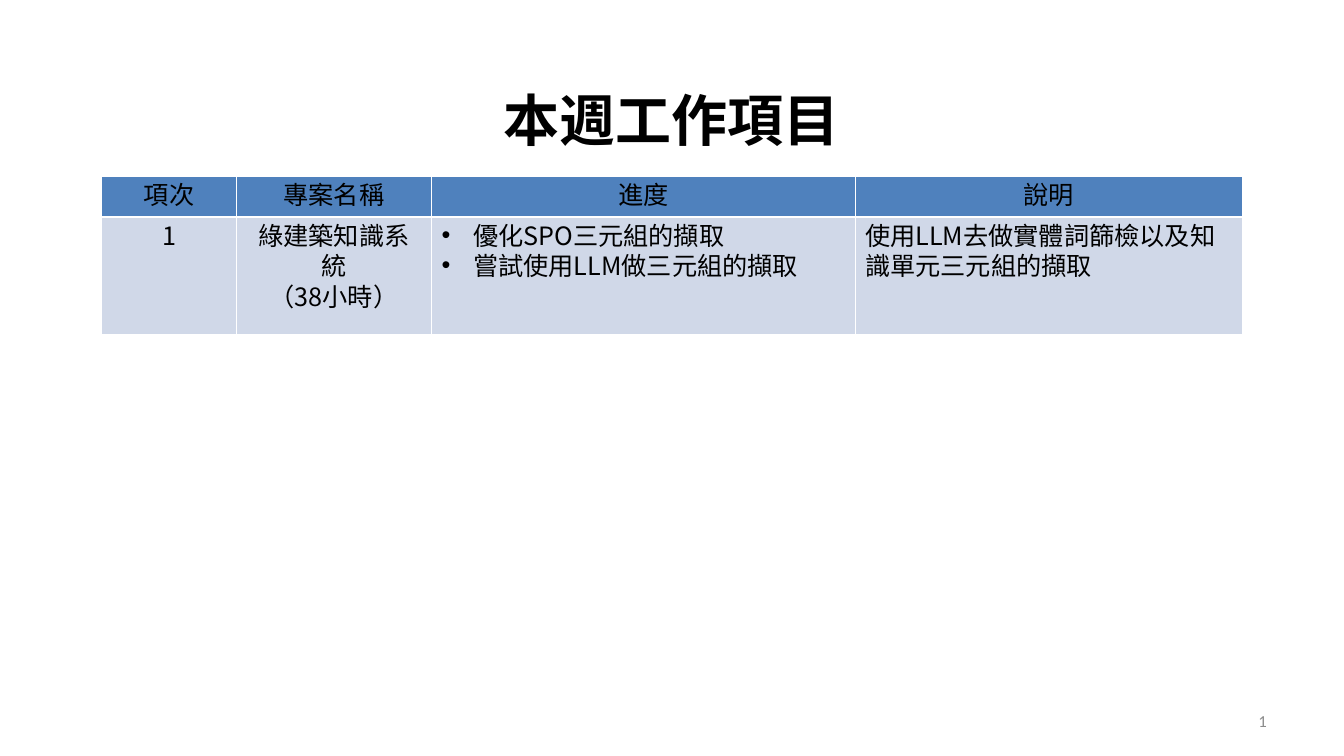
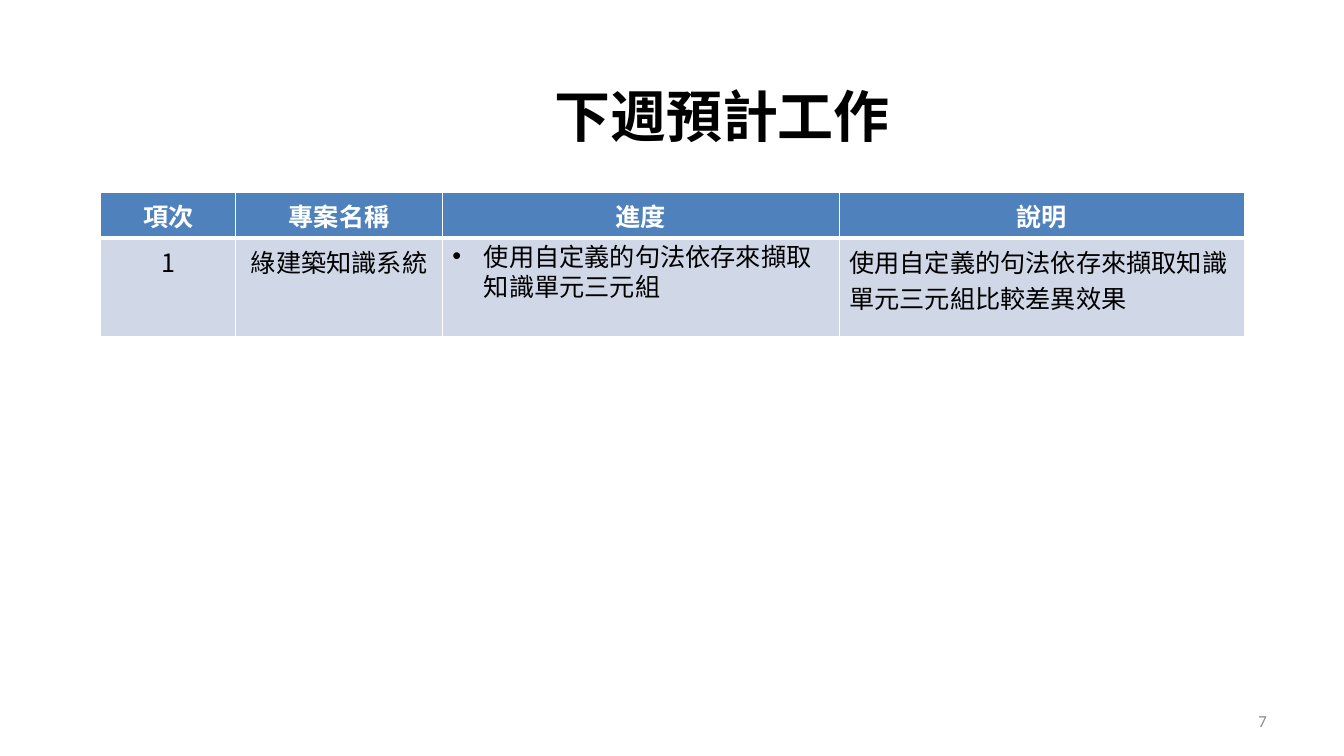
from dataclasses import dataclass

from pptx import Presentation
from pptx.dml.color import RGBColor
from pptx.enum.text import MSO_ANCHOR, PP_ALIGN
from pptx.oxml.ns import qn
from pptx.util import Pt
from lxml import etree

LEFT, CENTER, RIGHT = PP_ALIGN.LEFT, PP_ALIGN.CENTER, PP_ALIGN.RIGHT
MIDDLE, TOP = MSO_ANCHOR.MIDDLE, MSO_ANCHOR.TOP


@dataclass(frozen=True)
class Theme:
    black: str = "000000"
    white: str = "FFFFFF"
    gray: str = "8C8C8C"
    head: str = "4F81BD"
    body: str = "D0D8E8"
    sans: str = "Calibri"
    tc: str = "Noto Sans CJK TC"
    sc: str = "Noto Sans CJK SC"
    title: int = 40
    text: int = 18
    small: int = 12
    lead: float = 21.8
    hang: float = 22.5


T = Theme()
HEADS = ["項次", "專案名稱", "進度", "說明"]


def write(frame, text, size=T.text, font=T.tc, east=None, color=T.black,
          bold=False, align=LEFT, lead=None, bullet=False):
    """Fill a text frame; each line of text is a paragraph, \\v breaks a line."""
    frame.word_wrap = True
    for i, line in enumerate(text.split("\n")):
        para = frame.add_paragraph() if i else frame.paragraphs[0]
        para.text = line
        para.alignment = align
        if lead:
            para.line_spacing = Pt(lead)
        for run in para.runs:
            run.font.size = Pt(size)
            run.font.name = font
            run.font.bold = bold
            run.font.color.rgb = RGBColor.from_string(color)
            ea = etree.Element(qn("a:ea"), typeface=east or font)
            run.font._element.find(qn("a:latin")).addnext(ea)
        if bullet:
            props = para._p.get_or_add_pPr()
            props.set("marL", str(Pt(T.hang)))
            props.set("indent", str(-Pt(T.hang)))
            etree.SubElement(props, qn("a:buFont"), typeface="Arial")
            etree.SubElement(props, qn("a:buChar"), char="•")


def label(slide, box, text, **form):
    frame = slide.shapes.add_textbox(*map(Pt, box)).text_frame
    frame.vertical_anchor = MIDDLE
    write(frame, text, **form)


def border(cell, thin, top, bottom):
    """Draw white lines on all four sides of a cell."""
    props = cell._tc.get_or_add_tcPr()
    sides = [("L", thin), ("R", thin), ("T", top), ("B", bottom)]
    for i, (side, width) in enumerate(sides):
        line = etree.Element(qn("a:ln" + side), w=str(Pt(width)))
        fill = etree.SubElement(line, qn("a:solidFill"))
        etree.SubElement(fill, qn("a:srgbClr"), val=T.white)
        props.insert(i, line)


def grid(slide, left, top, widths, heights, row, head, forms, thin, thick):
    """Place a heading row and one row of work, formatted column by column."""
    table = slide.shapes.add_table(
        2, len(widths), Pt(left), Pt(top), Pt(sum(widths)), Pt(sum(heights))
    ).table
    for item, width in zip(table.columns, widths):
        item.width = Pt(width)
    for item, height in zip(table.rows, heights):
        item.height = Pt(height)
    for r, (texts, looks, fill, edge) in enumerate([
        (HEADS, [head] * len(widths), T.head, thin),
        (row, forms, T.body, thick),
    ]):
        for c, (text, look) in enumerate(zip(texts, looks)):
            cell = table.cell(r, c)
            cell.fill.solid()
            cell.fill.fore_color.rgb = RGBColor.from_string(fill)
            cell.vertical_anchor = TOP
            border(cell, thin, edge, thick)
            write(cell.text_frame, text, **look)


def page(deck, spot, title, number, **table):
    """Add a slide with its title box at spot, a table and a number."""
    slide = deck.slides.add_slide(deck.slide_layouts[6])
    label(slide, (688, 500.5, 224, 28.8), number, size=T.small, font=T.sans,
          color=T.gray, align=RIGHT)
    label(slide, (*spot, 436.5, 55.5), title, size=T.title, font=T.sc,
          bold=True, align=CENTER)
    grid(slide, **table)


def main():
    deck = Presentation()
    deck.slide_width, deck.slide_height = Pt(960), Pt(540)
    mid = dict(align=CENTER)
    tight = dict(align=CENTER, lead=T.lead)
    points = dict(lead=T.lead, bullet=True)

    page(deck, (261.5, 57.5), "本週工作項目", "1",
         left=72.75, top=126, widths=[96, 139.5, 302.5, 276.5],
         heights=[29, 84.5],
         row=["1", "綠建築知識系統\v（38小時）",
              "優化SPO三元組的擷取\n嘗試使用LLM做三元組的擷取",
              "使用LLM去做實體詞篩檢以及知識單元三元組的擷取"],
         head=tight, forms=[tight, tight, points, dict(font=T.sc, lead=T.lead)],
         thin=0.75, thick=2.18)
    page(deck, (297.5, 54.5), "下週預計工作", "7",
         left=72, top=137.5, widths=[96.5, 147.5, 283.5, 289.5],
         heights=[32.5, 71.5],
         row=["1", "綠建築知識系統", "使用自定義的句法依存來擷取知識單元三元組",
              "使用自定義的句法依存來擷取知識單元三元組比較差異效果"],
         head=dict(font=T.sans, east=T.tc, color=T.white, bold=True,
                   align=CENTER),
         forms=[mid, mid, points, {}], thin=1, thick=3)
    deck.save("out.pptx")


if __name__ == "__main__":
    main()
